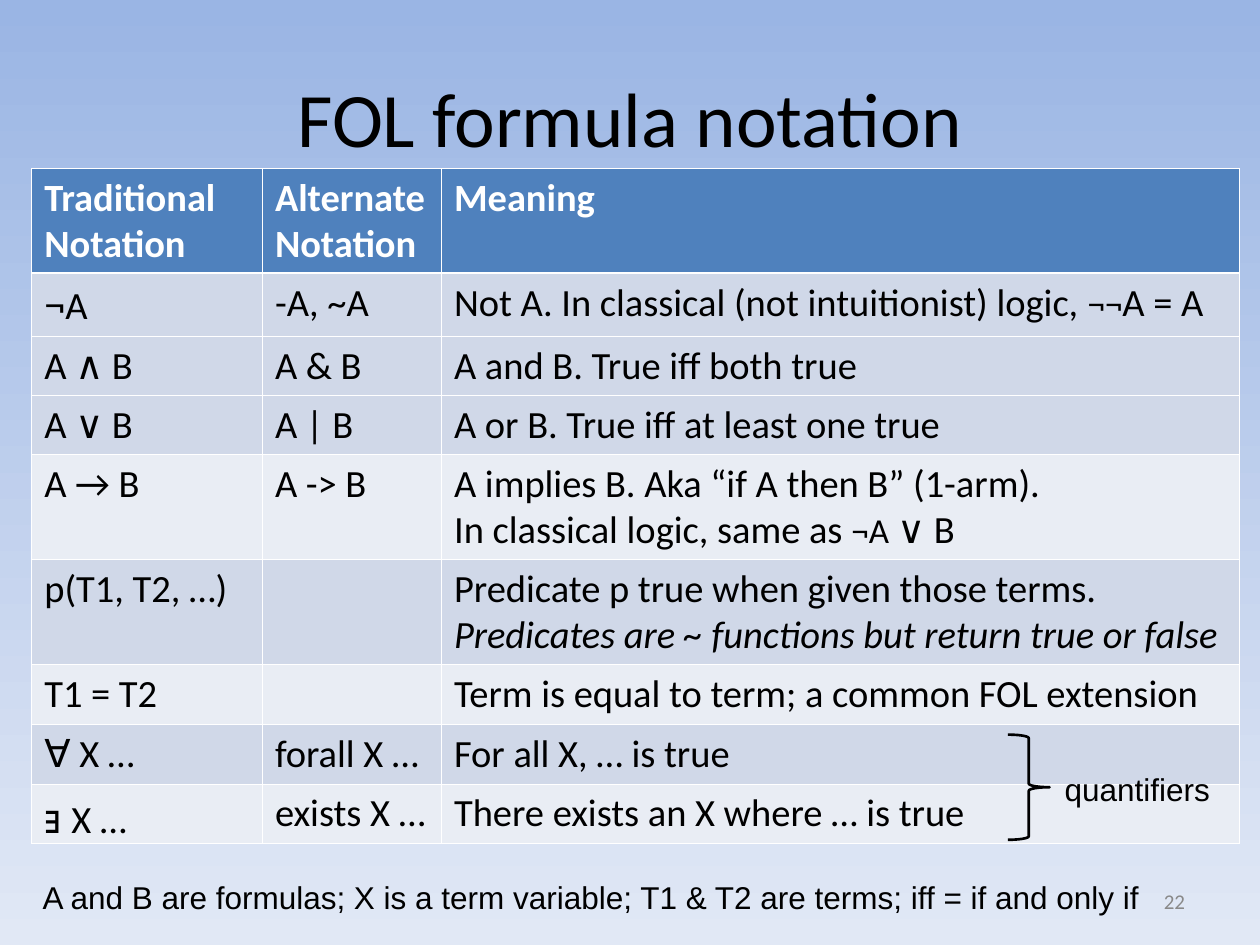
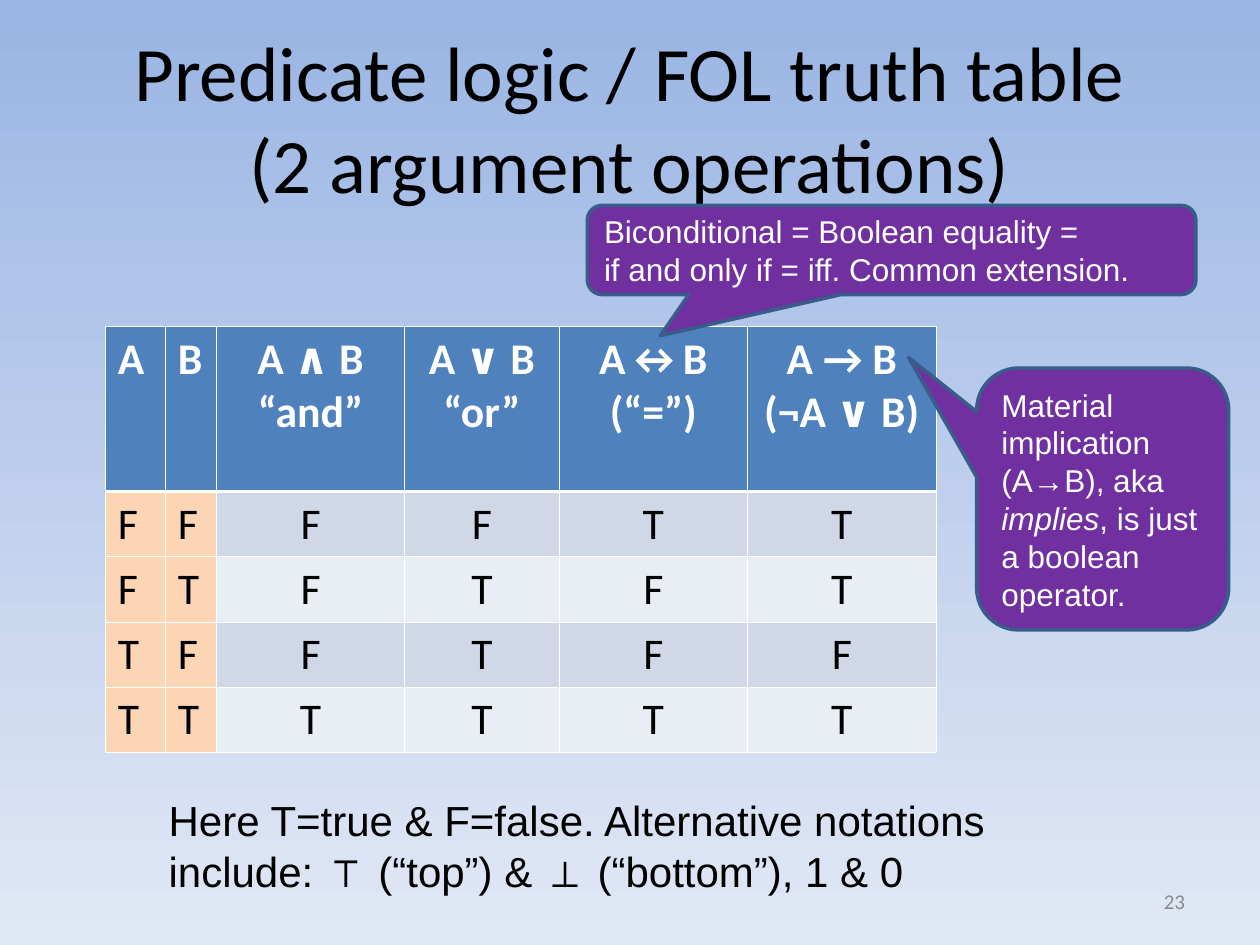
import dataclasses

import pptx
import pptx.dml.color
import pptx.enum.shapes
import pptx.enum.text
import pptx.oxml
import pptx.oxml.ns
import pptx.util

Cm = pptx.util.Cm
Pt = pptx.util.Pt
ALIGN = pptx.enum.text.PP_ALIGN
ANCHOR = pptx.enum.text.MSO_ANCHOR
SHAPE = pptx.enum.shapes.MSO_SHAPE


@dataclasses.dataclass(frozen=True)
class Theme:
    heading_font: str = "Calibri"
    note_font: str = "Arial"
    symbol_font: str = "TeX Gyre Schola"
    ink: str = "000000"
    white: str = "FFFFFF"
    gray: str = "898989"
    sky_top: str = "9AB5E4"
    sky_bottom: str = "E1E8F5"
    header: str = "4F81BD"
    dark_band: str = "D0D8E8"
    light_band: str = "E9EDF4"
    input_fill: str = "FCD5B5"
    callout_fill: str = "7030A0"
    callout_line: str = "385D8A"
    title_size: float = 44
    truth_size: float = 25
    large_size: float = 24
    notation_size: float = 22
    small_symbol_size: float = 20
    note_size: float = 18
    number_size: float = 12
    thin_border: float = 0.45
    thick_border: float = 1.47


THEME = Theme()


@dataclasses.dataclass(frozen=True)
class Box:
    left: float
    top: float
    width: float
    height: float

    def inner(self, left, top, width, height):
        return Box(self.left + left, self.top + top, width, height)

    def lengths(self):
        return Cm(self.left), Cm(self.top), Cm(self.width), Cm(self.height)


PAGE = Box(0, 0, 25.4, 19.05)

NOTATION_ROWS = [
    ["Traditional Notation", "Alternate Notation", "Meaning"],
    [
        [("¬", {"size": Pt(THEME.large_size)}), "A"],
        "-A, ~A",
        [
            "Not A. In classical (not intuitionist) logic, ",
            ("¬¬", {"size": Pt(THEME.small_symbol_size)}),
            "A = A",
        ],
    ],
    ["A ∧ B", "A & B", "A and B. True iff both true"],
    ["A ∨ B", "A | B", "A or B. True iff at least one true"],
    [
        "A → B",
        "A -> B",
        [
            "A implies B. Aka “if A then B” (1-arm).\nIn classical logic, same as ",
            ("¬A ", {"size": Pt(THEME.small_symbol_size)}),
            "∨ B",
        ],
    ],
    [
        "p(T1, T2, …)",
        "",
        [
            "Predicate p true when given those terms. ",
            ("Predicates are ~ functions but return true or false", {"italic": True}),
        ],
    ],
    ["T1 = T2", "", "Term is equal to term; a common FOL extension"],
    ["∀ X …", "forall X …", "For all X, … is true"],
    [
        [("∃ ", {"name": THEME.symbol_font}), "X …"],
        "exists X …",
        "There exists an X where … is true",
    ],
]

TRUTH_HEADER = [
    ["A"],
    ["B"],
    ["A ∧ B", "“and”"],
    ["A ∨ B", "“or”"],
    ["A↔B", "(“=”)"],
    ["A → B", "(¬A ∨ B)"],
]
TRUTH_ROWS = ["FFFFTT", "FTFTFT", "TFFTFF", "TTTTTT"]


def rgb(value):
    return pptx.dml.color.RGBColor.from_string(value)


def write(frame, paragraphs, font, size, color, align=ALIGN.LEFT, bold=False):
    for index, spans in enumerate(paragraphs):
        para = frame.add_paragraph() if index else frame.paragraphs[0]
        para.alignment = align
        para.font.name = font
        para.font.size = Pt(size)
        para.font.bold = bold
        para.font.color.rgb = rgb(color)
        for item in [spans] if isinstance(spans, str) else spans:
            text, changes = (item, {}) if isinstance(item, str) else item
            for line, piece in enumerate(text.split("\n")):
                if line:
                    para.add_line_break()
                if piece:
                    span = para.add_run()
                    span.text = piece
                    for name, value in changes.items():
                        setattr(span.font, name, value)


def add_note(page, box, text, size=THEME.note_size, wrap=False):
    note = page.shapes.add_textbox(*box.lengths())
    note.text_frame.word_wrap = wrap
    write(note.text_frame, [text], THEME.note_font, size, THEME.ink)


def add_page(deck, title, number):
    page = deck.slides.add_slide(deck.slide_layouts.get_by_name("Title Only"))
    heading = page.shapes.title
    heading.left, heading.top, heading.width, heading.height = PAGE.inner(
        1.27, 0.76, 22.86, 3.18).lengths()
    heading.text_frame.vertical_anchor = ANCHOR.MIDDLE
    write(heading.text_frame, [title], THEME.heading_font, THEME.title_size,
          THEME.ink, ALIGN.CENTER)
    label = page.shapes.add_textbox(*PAGE.inner(18.21, 17.65, 5.93, 1.02).lengths())
    label.text_frame.word_wrap = True
    label.text_frame.vertical_anchor = ANCHOR.MIDDLE
    write(label.text_frame, [str(number)], THEME.heading_font, THEME.number_size,
          THEME.gray, ALIGN.RIGHT)
    return page


def set_borders(cell, row):
    thick_side = {0: "B", 1: "T"}.get(row)
    properties = cell._tc.get_or_add_tcPr()
    for side in "LRTB":
        points = THEME.thick_border if side == thick_side else THEME.thin_border
        properties.append(pptx.oxml.parse_xml(
            f'<a:ln{side} {pptx.oxml.ns.nsdecls("a")} w="{int(Pt(points))}">'
            f'<a:solidFill><a:srgbClr val="{THEME.white}"/></a:solidFill></a:ln{side}>'))


def add_grid(page, box, columns, heights, light_rows):
    grid = page.shapes.add_table(len(heights), len(columns), *box.lengths()).table
    grid.horz_banding = False
    for column, share in zip(grid.columns, columns):
        column.width = Cm(box.width * share / sum(columns))
    for index, height in enumerate(heights):
        grid.rows[index].height = Cm(height)
        band = THEME.light_band if index in light_rows else THEME.dark_band
        for cell in grid.rows[index].cells:
            set_borders(cell, index)
            cell.fill.solid()
            cell.fill.fore_color.rgb = rgb(band if index else THEME.header)
    return grid


def add_notation_table(page, box):
    heights = [2.11, 1.27, 1.19, 1.19, 2.11, 2.11, 1.22, 1.19, 1.19]
    grid = add_grid(page, box, [4.65, 3.61, 16.08], heights, range(4, 9, 2))
    for row, texts in enumerate(NOTATION_ROWS):
        for column, text in enumerate(texts):
            write(grid.cell(row, column).text_frame, [text], THEME.heading_font,
                  THEME.notation_size, THEME.ink if row else THEME.white,
                  bold=row == 0)


def add_quantifier_brace(page, box):
    brace = page.shapes.add_shape(
        SHAPE.RIGHT_BRACE, *box.inner(0, 0, 0.84, box.height).lengths())
    brace.shadow.inherit = False
    brace.fill.background()
    brace.line.color.rgb = rgb(THEME.ink)
    brace.line.width = Pt(1.5)
    add_note(page, box.inner(0.89, 0.58, box.width - 0.89, 1.02), "quantifiers")


def add_truth_table(page, box):
    heights = [3.33] + [1.28] * len(TRUTH_ROWS)
    grid = add_grid(page, box, [1.21, 1.03, 3.8, 3.11, 3.8, 3.8], heights,
                    range(2, 5, 2))
    for row, values in enumerate([TRUTH_HEADER, *TRUTH_ROWS]):
        for column, value in enumerate(values):
            cell = grid.cell(row, column)
            is_input = column < 2
            if row and is_input:
                cell.fill.fore_color.rgb = rgb(THEME.input_fill)
            write(cell.text_frame, value, THEME.heading_font, THEME.truth_size,
                  THEME.ink if row else THEME.white,
                  ALIGN.LEFT if is_input else ALIGN.CENTER, bold=row == 0)


def add_callout(page, box, tip, paragraphs):
    callout = page.shapes.add_shape(SHAPE.ROUNDED_RECTANGULAR_CALLOUT, *box.lengths())
    callout.shadow.inherit = False
    callout.adjustments[0], callout.adjustments[1] = tip
    callout.fill.solid()
    callout.fill.fore_color.rgb = rgb(THEME.callout_fill)
    callout.line.color.rgb = rgb(THEME.callout_line)
    callout.line.width = Pt(2)
    callout.text_frame.word_wrap = True
    callout.text_frame.vertical_anchor = ANCHOR.MIDDLE
    write(callout.text_frame, paragraphs, THEME.note_font, THEME.note_size, THEME.white)


def build_notation_page(deck):
    page = add_page(deck, "FOL formula notation", 22)
    add_notation_table(page, PAGE.inner(0.64, 3.39, 24.34, 13.58))
    add_note(page, PAGE.inner(0.61, 17.58, 22.68, 1.02),
             "A and B are formulas; X is a term variable; T1 & T2 are terms; "
             "iff = if and only if")
    add_quantifier_brace(page, PAGE.inner(20.32, 14.81, 4.32, 2.12))


def build_truth_page(deck):
    page = add_page(
        deck, "Predicate logic / FOL truth table\n(2 argument operations)", 23)
    add_truth_table(page, PAGE.inner(2.12, 6.58, 16.75, 8.45))
    add_note(page, PAGE.inner(3.15, 15.9, 17.37, 2.29),
             "Here T=true & F=false. Alternative notations include: "
             "⊤ (“top”) & ⊥ (“bottom”), 1 & 0", THEME.large_size, wrap=True)
    add_callout(page, PAGE.inner(11.84, 4.14, 12.27, 1.8), (-0.38, 0.96),
                ["Biconditional = Boolean equality =",
                 "if and only if = iff. Common extension."])
    add_callout(page, PAGE.inner(19.69, 7.42, 5.08, 5.28), (-0.77, -0.54),
                [["Material implication (A→B), aka ",
                  ("implies", {"italic": True}),
                  ", is just a boolean operator."]])


def set_background(master):
    fill = master.background.fill
    fill.gradient()
    fill.gradient_angle = 270
    for stop, color in zip(fill.gradient_stops, (THEME.sky_top, THEME.sky_bottom)):
        stop.color.rgb = rgb(color)


def main():
    deck = pptx.Presentation()
    deck.slide_width, deck.slide_height = Cm(PAGE.width), Cm(PAGE.height)
    set_background(deck.slide_master)
    build_notation_page(deck)
    build_truth_page(deck)
    deck.save("out.pptx")


if __name__ == "__main__":
    main()
